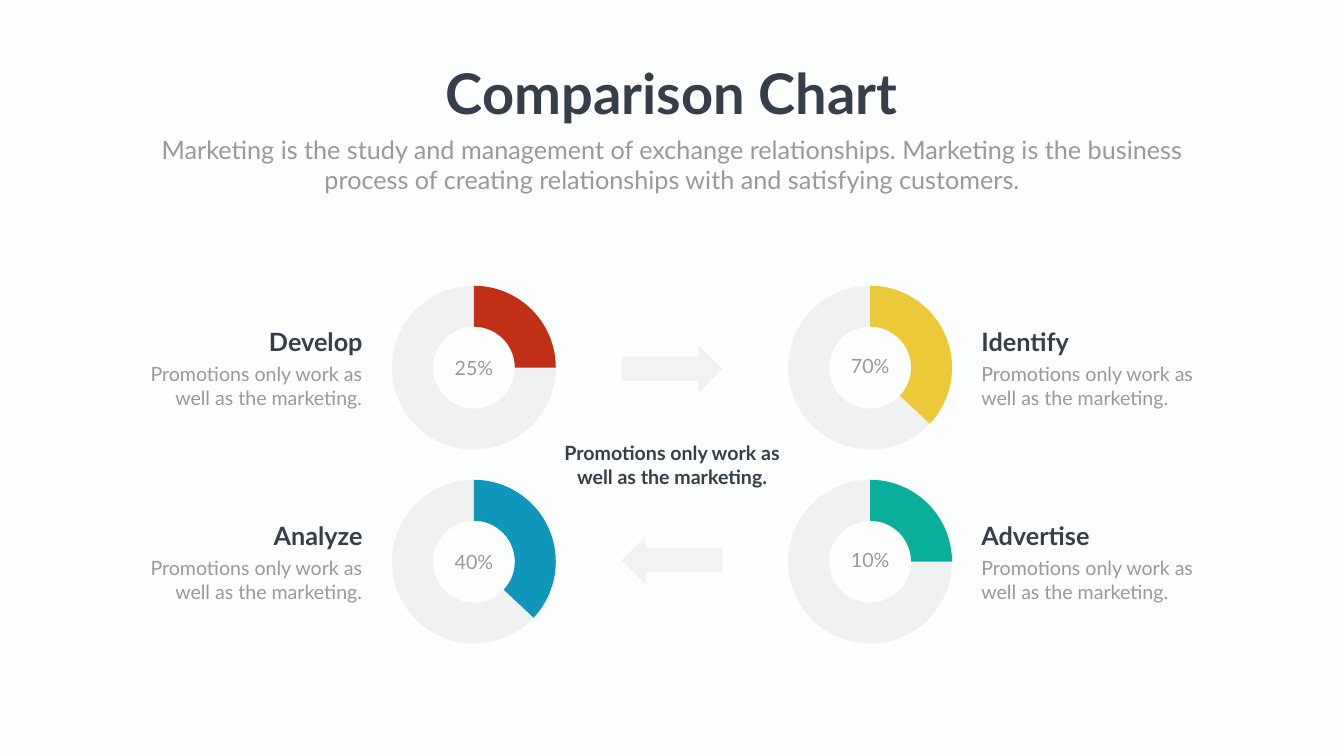
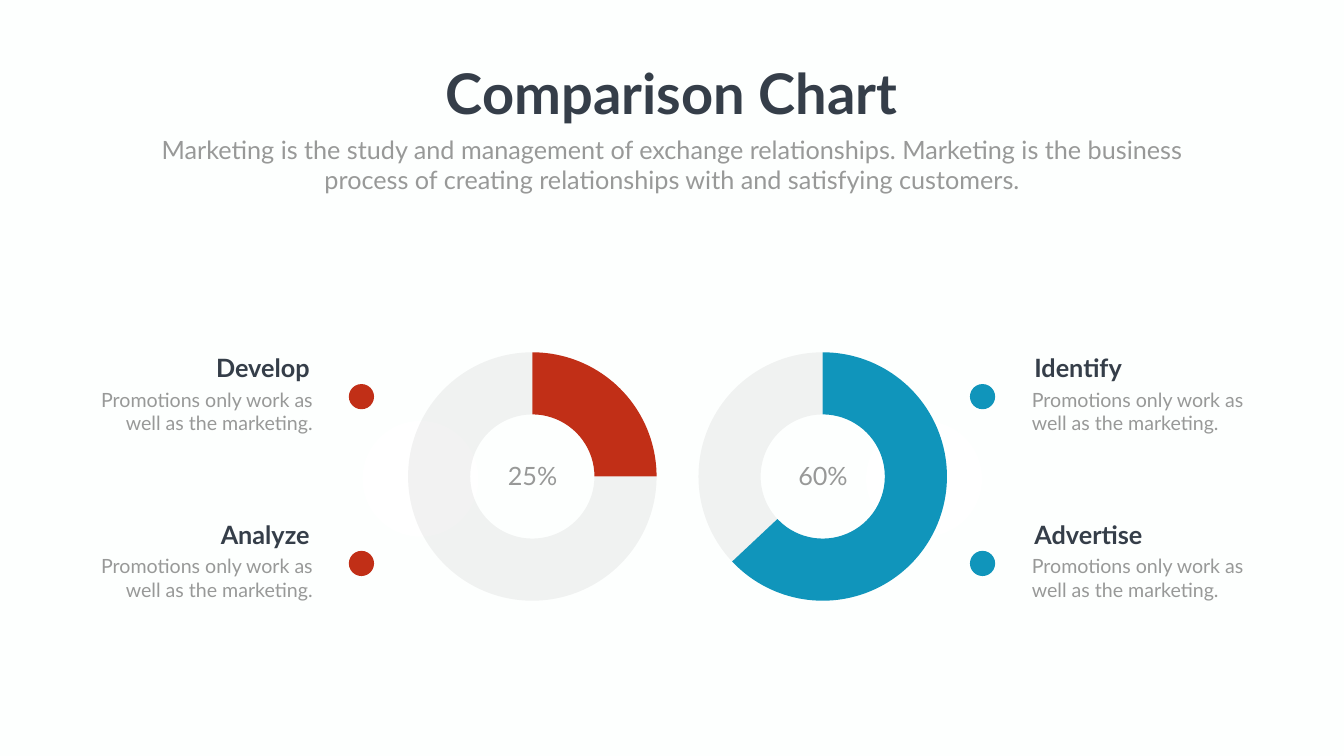
import pptx
import pptx.chart.data
import pptx.dml.color
import pptx.enum.chart
import pptx.enum.shapes
import pptx.enum.text
import pptx.oxml
import pptx.oxml.ns
import pptx.util
from lxml import etree

Inches = pptx.util.Inches
RGBColor = pptx.dml.color.RGBColor
SHAPE = pptx.enum.shapes.MSO_SHAPE
LEFT = pptx.enum.text.PP_ALIGN.LEFT
CENTER = pptx.enum.text.PP_ALIGN.CENTER
RIGHT = pptx.enum.text.PP_ALIGN.RIGHT
qn = pptx.oxml.ns.qn

BACKGROUND = RGBColor(0xFD, 0xFF, 0xFE)
DARK = RGBColor(0x35, 0x3E, 0x49)
GREY = RGBColor(0x98, 0x99, 0x98)
TRACK = RGBColor(0x80, 0x80, 0x80)
ARROW = RGBColor(0xF2, 0xF2, 0xF2)
WHITE = RGBColor(0xFF, 0xFF, 0xFF)
RED = RGBColor(0xC1, 0x2F, 0x17)
BLUE = RGBColor(0x10, 0x95, 0xBB)
YELLOW = RGBColor(0xEB, 0xC9, 0x38)
GREEN = RGBColor(0x09, 0xAF, 0x9A)

FONT = "Lato"
CHART_FONT = "Calibri"
SUBTITLE = ("Marketing is the study and management of exchange relationships. "
            "Marketing is the business process of creating relationships "
            "with and satisfying customers.")
PROMOTION = "Promotions only work as well as the marketing."


def add_text(s, text, x, y, w, h, size, color=GREY, bold=False, align=CENTER, wrap=True):
    tf = s.shapes.add_textbox(Inches(x), Inches(y), Inches(w), Inches(h)).text_frame
    tf.word_wrap = wrap
    tf.text = text
    p = tf.paragraphs[0]
    p.alignment = align
    font = p.runs[0].font
    font.name = FONT
    font.size = pptx.util.Pt(size)
    font.bold = bold
    font.color.rgb = color


def add_heading(s, text, x, y, w, align):
    add_text(s, text, x, y, w, 0.71, 36, DARK, True, align)


def add_promotion(s, x, y, w, align, color=GREY, bold=False):
    add_text(s, PROMOTION, x, y, w, 1.04, 28, color, bold, align)


def add_shape(s, kind, x, y, w, h, color):
    sp = s.shapes.add_shape(kind, Inches(x), Inches(y), Inches(w), Inches(h))
    sp.shadow.inherit = False
    sp.fill.solid()
    sp.fill.fore_color.rgb = color
    sp.line.fill.background()
    return sp


def set_plot_size(chart, width, height):
    """Centre the plot area, sized as fractions of the chart frame."""
    plot_area = chart.element.find(".//" + qn("c:plotArea"))
    layout = plot_area.find(qn("c:layout"))
    if layout is None:
        layout = etree.Element(qn("c:layout"))
        plot_area.insert(0, layout)
    manual = etree.SubElement(layout, qn("c:manualLayout"))
    for tag, value in (("layoutTarget", "inner"), ("xMode", "edge"), ("yMode", "edge"),
                       ("x", (1 - width) / 2), ("y", (1 - height) / 2),
                       ("w", width), ("h", height)):
        etree.SubElement(manual, qn("c:" + tag)).set("val", str(value))


def add_doughnut(s, x, y, w, h, value, color):
    """Draw value percent in color, and the rest as a faint track."""
    data = pptx.chart.data.CategoryChartData()
    data.categories = ["1", "2"]
    data.add_series("Series 1", (value, 100 - value))
    chart = s.shapes.add_chart(pptx.enum.chart.XL_CHART_TYPE.DOUGHNUT, Inches(x),
                               Inches(y), Inches(w), Inches(h), data).chart
    chart.has_title = False
    chart.has_legend = False
    chart.font.name = CHART_FONT
    chart.font.size = pptx.util.Pt(10)
    chart.font.color.rgb = GREY
    plot = chart.plots[0]
    plot.vary_by_categories = True
    for i, fill_color in enumerate((color, TRACK)):
        point = plot.series[0].points[i].format
        point.fill.solid()
        point.fill.fore_color.rgb = fill_color
        point.line.fill.background()
    track = plot.series[0].points[1].format.fill
    rgb = track._xPr.find(".//" + qn("a:srgbClr"))
    etree.SubElement(rgb, qn("a:alpha")).set("val", "10000")
    chart.element.find(".//" + qn("c:holeSize")).set("val", "80")
    diameter = h - 0.28
    set_plot_size(chart, diameter / w, diameter / h)


def add_slide(prs):
    s = prs.slides.add_slide(prs.slide_layouts[6])
    s.background.fill.solid()
    s.background.fill.fore_color.rgb = BACKGROUND
    add_text(s, "Comparison Chart", 8.67, 1.12, 9.31, 1.45, 80, DARK, True, wrap=False)
    add_text(s, SUBTITLE, 2.92, 2.61, 20.82, 1.31, 36)
    return s


def add_four_doughnuts(prs):
    s = add_slide(prs)
    row_tops = (5.53, 9.38)
    # chart left, label rise, heading left, promotion left, alignment, rows
    columns = (
        (7.52, 0, 3.01, 2.72, RIGHT,
         (("Develop", 25, "25%", RED), ("Analyze", 37, "40%", BLUE))),
        (15.38, 0.04, 19.37, 19.37, LEFT,
         (("Identify", 37, "70%", YELLOW), ("Advertise", 25, "10%", GREEN))),
    )
    for x, rise, heading_x, promotion_x, align, rows in columns:
        for y, (heading, value, label, color) in zip(row_tops, rows):
            add_doughnut(s, x, y, 3.76, 3.53, value, color)
            add_text(s, label, x + 0.99, y + 1.48 - rise, 1.78, 0.57, 28)
            add_heading(s, heading, heading_x, y + 0.9, 4.28, align)
            add_promotion(s, promotion_x, y + 1.61, 4.56, align)
    add_shape(s, SHAPE.RIGHT_ARROW, 12.33, 6.84, 2, 0.95, ARROW)
    add_shape(s, SHAPE.RIGHT_ARROW, 12.33, 10.64, 2, 0.95, ARROW).rotation = 180
    add_promotion(s, 10.97, 8.7, 4.72, CENTER, DARK, True)


def add_two_doughnuts(prs):
    s = add_slide(prs)
    row_tops = (6.94, 10.25)
    # backing disc, heading, promotion, dot and chart lefts, then the content
    sides = (
        (7.19, 2.67, 1.72, 6.92, 7.78, RIGHT, RED, 25, "25%", ("Develop", "Analyze")),
        (17.18, 20.42, 20.37, 19.24, 13.54, LEFT, BLUE, 63, "60%", ("Identify", "Advertise")),
    )
    for disc_x, heading_x, promotion_x, dot_x, x, align, color, value, label, headings in sides:
        add_shape(s, SHAPE.OVAL, disc_x, 8.35, 2.3, 2.3, WHITE)
        for y, heading in zip(row_tops, headings):
            add_promotion(s, promotion_x, y + 0.7, 4.58, align)
            add_heading(s, heading, heading_x, y, 3.57, align)
            add_shape(s, SHAPE.OVAL, dot_x, y + 0.68, 0.5, 0.5, color)
        add_doughnut(s, x, 6.85, 5.56, 5.21, value, color)
        add_text(s, label, x + 1.47, 9.09, 2.63, 0.71, 36)


def main():
    prs = pptx.Presentation()
    prs.slide_width = Inches(26.66)
    prs.slide_height = Inches(15)
    add_four_doughnuts(prs)
    add_two_doughnuts(prs)
    prs.save("out.pptx")


if __name__ == "__main__":
    main()
